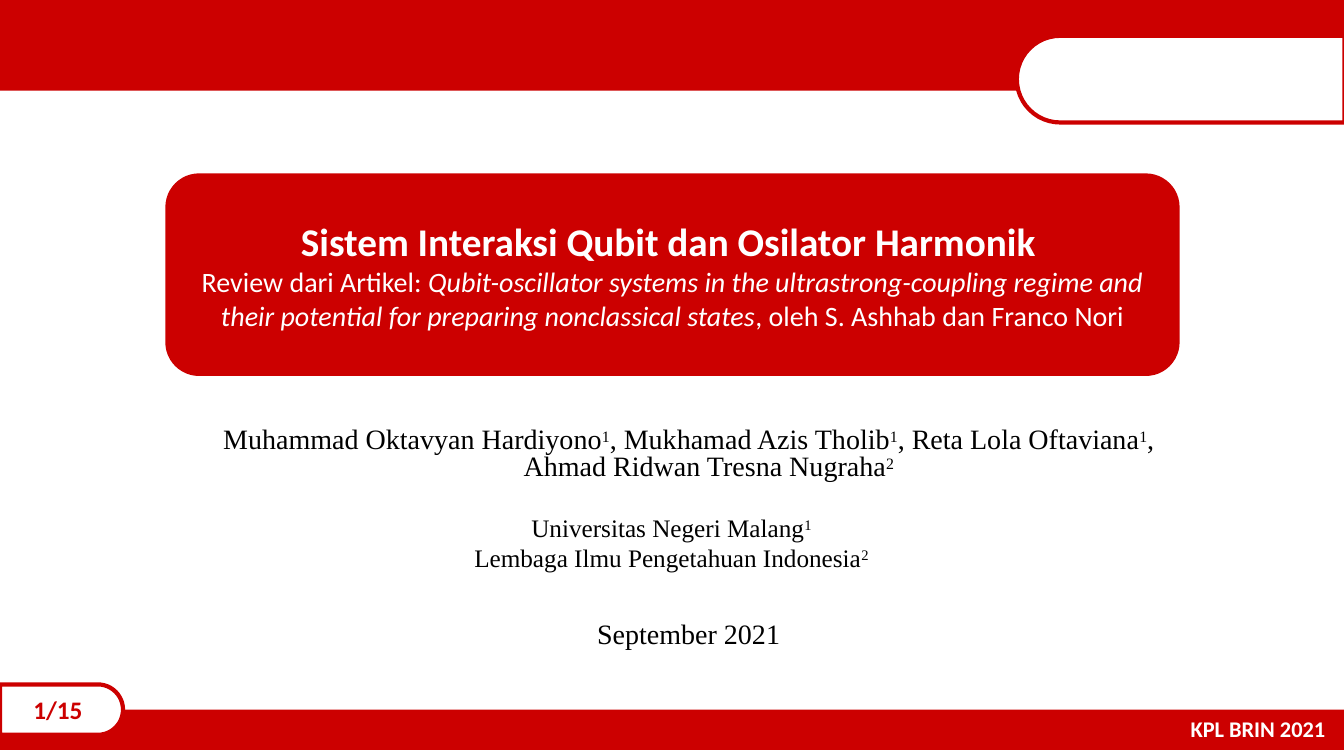
import pptx
import pptx.dml.color
import pptx.enum.shapes
import pptx.enum.text
import pptx.util

Inches = pptx.util.Inches
Pt = pptx.util.Pt
RGBColor = pptx.dml.color.RGBColor
MSO_SHAPE = pptx.enum.shapes.MSO_SHAPE
MSO_ANCHOR = pptx.enum.text.MSO_ANCHOR
MSO_AUTO_SIZE = pptx.enum.text.MSO_AUTO_SIZE
PP_ALIGN = pptx.enum.text.PP_ALIGN

RED = RGBColor(0xCC, 0x00, 0x00)
WHITE = RGBColor(0xFF, 0xFF, 0xFF)
BLACK = RGBColor(0x00, 0x00, 0x00)
SANS = "Calibri"
SERIF = "Times New Roman"
SLIDE_WIDTH = 13.33
CARD = (1.64, 1.72, 10.06, 2.01)


class CoverSlide:
    """Draws the parts of a red and white cover on one slide."""

    def __init__(self, presentation):
        self.slide = presentation.slides.add_slide(presentation.slide_layouts[5])

    def block(self, kind, box, fill=RED):
        shape = self.slide.shapes.add_shape(kind, *map(Inches, box))
        shape.shadow.inherit = False
        shape.fill.solid()
        shape.fill.fore_color.rgb = fill
        shape.line.fill.background()
        return shape

    def tab(self, box, rotation):
        shape = self.block(MSO_SHAPE.ROUND_2_SAME_RECTANGLE, box, WHITE)
        shape.adjustments[0] = 0.5
        shape.adjustments[1] = 0
        shape.rotation = rotation
        shape.line.color.rgb = RED
        shape.line.width = Pt(3)
        return shape

    def title(self, box):
        shape = self.slide.shapes.title
        shape.left, shape.top, shape.width, shape.height = map(Inches, box)
        self.slide.shapes._spTree.append(shape._element)
        frame = shape.text_frame
        frame.word_wrap = True
        frame.auto_size = MSO_AUTO_SIZE.NONE
        frame.vertical_anchor = MSO_ANCHOR.MIDDLE
        return frame

    def text_box(self, box, flush=False):
        frame = self.slide.shapes.add_textbox(*map(Inches, box)).text_frame
        frame.word_wrap = True
        if flush:
            frame.margin_left = frame.margin_right = frame.margin_bottom = 0
            frame.margin_top = Inches(0.08)
        return frame

    def paragraph(self, frame, first=True, align=PP_ALIGN.CENTER):
        paragraph = frame.paragraphs[0] if first else frame.add_paragraph()
        paragraph.alignment = align
        paragraph.space_before = Pt(0)
        return paragraph

    def hanging_paragraph(self, frame):
        paragraph = self.paragraph(frame)
        paragraph.line_spacing = Pt(19.2)
        paragraph.space_before = Pt(5.7)
        properties = paragraph._p.get_or_add_pPr()
        properties.set("marL", str(Inches(0.74)))
        properties.set("indent", str(Inches(-0.4)))
        return paragraph

    def run(self, paragraph, text, size, font=SANS, color=WHITE, bold=False, italic=False):
        run = paragraph.add_run()
        run.text = text
        run.font.name = font
        run.font.size = Pt(size)
        run.font.bold = bold
        run.font.italic = italic
        run.font.color.rgb = color
        return run

    def marked_name(self, paragraph, name, mark, size, mark_size):
        self.run(paragraph, name, size, SERIF, BLACK)
        run = self.run(paragraph, mark, mark_size, SERIF, BLACK)
        run.font._element.set("baseline", "26000")


def main():
    presentation = pptx.Presentation()
    presentation.slide_width = Inches(SLIDE_WIDTH)
    presentation.slide_height = Inches(7.5)
    cover = CoverSlide(presentation)

    cover.block(MSO_SHAPE.ROUNDED_RECTANGLE, CARD)
    title = cover.title(CARD)
    heading = cover.paragraph(title)
    cover.run(heading, "Sistem Interaksi Qubit dan Osilator Harmonik ", 28, bold=True)
    review = cover.paragraph(title, first=False)
    cover.run(review, "Review dari Artikel: ", 20)
    cover.run(
        review,
        "Qubit-oscillator systems in the ultrastrong-coupling regime "
        "and their potential for preparing nonclassical states",
        20,
        italic=True,
    )
    cover.run(review, ", oleh S. Ashhab dan Franco Nori", 20)

    authors = cover.hanging_paragraph(cover.text_box((1.85, 4.17, 9.62, 0.97), flush=True))
    for name, mark in (
        ("Muhammad Oktavyan Hardiyono", "1"),
        (", Mukhamad Azis Tholib", "1"),
        (", Reta Lola Oftaviana", "1"),
        (", Ahmad Ridwan Tresna Nugraha", "2"),
    ):
        cover.marked_name(authors, name, mark, 20, 19.5)

    date = cover.hanging_paragraph(cover.text_box((1.85, 6.1, 9.62, 0.35), flush=True))
    cover.run(date, "September 2021", 20, SERIF, BLACK)

    institutes = cover.text_box((3.33, 5.03, 6.66, 0.71))
    for name, mark in (("Universitas Negeri Malang", "1"), ("Lembaga Ilmu Pengetahuan Indonesia", "2")):
        paragraph = cover.paragraph(institutes, first=mark == "1")
        cover.marked_name(paragraph, name, mark, 18, 18)

    cover.block(MSO_SHAPE.RECTANGLE, (0, 0, SLIDE_WIDTH, 0.9))
    cover.tab((11.28, -0.84, 0.86, 3.25), 270)

    cover.block(MSO_SHAPE.RECTANGLE, (0, 7.04, SLIDE_WIDTH, 0.4))
    event = cover.paragraph(cover.text_box((11.71, 7.05, 1.78, 0.37)), align=PP_ALIGN.LEFT)
    cover.run(event, "KPL BRIN 2021", 16, bold=True)

    page_frame = cover.tab((0.36, 6.43, 0.5, 1.22), 90).text_frame
    page_frame.vertical_anchor = MSO_ANCHOR.MIDDLE
    page_frame._txBody.bodyPr.set("vert", "vert270")
    cover.run(cover.paragraph(page_frame), "1/15", 18, color=RED, bold=True)

    presentation.save("out.pptx")


if __name__ == "__main__":
    main()
